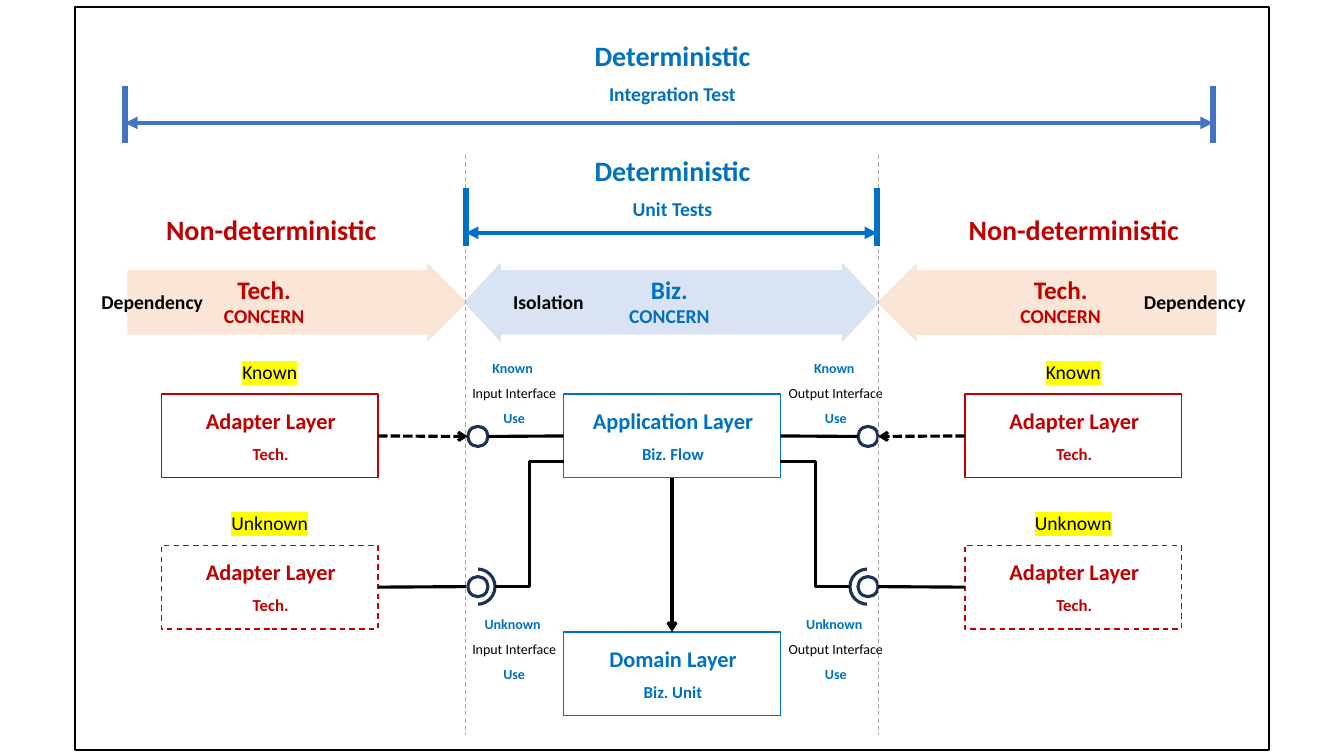
from lxml import etree
from pptx import Presentation
from pptx.dml.color import RGBColor
from pptx.enum.dml import MSO_LINE
from pptx.enum.shapes import MSO_CONNECTOR, MSO_SHAPE
from pptx.enum.text import MSO_AUTO_SIZE, PP_ALIGN
from pptx.oxml.ns import qn
from pptx.util import Inches, Pt

RECTANGLE, OVAL = MSO_SHAPE.RECTANGLE, MSO_SHAPE.OVAL
RIGHT_ARROW, TWO_WAY_ARROW = MSO_SHAPE.RIGHT_ARROW, MSO_SHAPE.LEFT_RIGHT_ARROW
STRAIGHT, ELBOW = MSO_CONNECTOR.STRAIGHT, MSO_CONNECTOR.ELBOW
DASH, SHORT_DASH = MSO_LINE.DASH, MSO_LINE.SQUARE_DOT
CENTERED, GROW = PP_ALIGN.CENTER, MSO_AUTO_SIZE.SHAPE_TO_FIT_TEXT
TOP, LEFT, BOTTOM, RIGHT = range(4)

BLACK = RGBColor(0x00, 0x00, 0x00)
WHITE = RGBColor(0xFF, 0xFF, 0xFF)
GRAY = RGBColor(0xA6, 0xA6, 0xA6)
BLUE = RGBColor(0x00, 0x70, 0xC0)
STEEL = RGBColor(0x44, 0x72, 0xC4)
NAVY = RGBColor(0x1E, 0x32, 0x56)
RED = RGBColor(0xC0, 0x00, 0x00)
PEACH = RGBColor(0xFB, 0xE5, 0xD6)
PALE_BLUE = RGBColor(0xDA, 0xE3, 0xF3)
YELLOW = RGBColor(0xFF, 0xFF, 0x00)

FONT = "Calibri"
CENTER = 6.67
LAYER_WIDTH, LAYER_HEIGHT = 2.15, 0.83
ADAPTER_LEFTS = (1.6, 9.57)
PORT_SIZE, RING_SIZE = 0.2, 0.35
PORT_LEFTS = (4.64, 8.51)
KNOWN_Y, UNKNOWN_Y = 4.33, 5.82
BOUNDARIES = (4.62, 8.71)


def add_frame(slide, center, top, width, height):
    box = slide.shapes.add_textbox(
        Inches(center - width / 2), Inches(top), Inches(width), Inches(height))
    frame = box.text_frame
    frame.word_wrap = False
    frame.auto_size = GROW
    return frame


def write(frame, text, size=14, color=BLACK, bold=True, highlight=None, spacing=None):
    para = frame.paragraphs[0]
    if para.runs:
        para = frame.add_paragraph()
    para.alignment = CENTERED
    if spacing:
        para.line_spacing = spacing
    span = para.add_run()
    span.text = text
    font = span.font
    font.size, font.bold, font.name = Pt(size), bold, FONT
    font.color.rgb = color
    if highlight:
        mark = etree.Element(qn("a:highlight"))
        etree.SubElement(mark, qn("a:srgbClr"), val=str(highlight))
        para.runs[0].font.fill._xPr.find(qn("a:solidFill")).addnext(mark)


def add_shape(slide, kind, left, top, width, height, line, line_width=1, fill=None, dash=None):
    shape = slide.shapes.add_shape(
        kind, Inches(left), Inches(top), Inches(width), Inches(height))
    shape.shadow.inherit = False
    if fill is None:
        shape.fill.background()
    else:
        shape.fill.solid()
        shape.fill.fore_color.rgb = fill
    shape.line.color.rgb = line
    shape.line.width = Pt(line_width)
    if dash:
        shape.line.dash_style = dash
    return shape


def add_line(slide, start, end, color=BLACK, width=2.25, dash=None,
             head=None, tail=None, kind=STRAIGHT):
    line = slide.shapes.add_connector(kind, *[Inches(value) for value in (*start, *end)])
    line.line.color.rgb = color
    line.line.width = Pt(width)
    if dash:
        line.line.dash_style = dash
    properties = line._element.spPr
    outline = properties.find(qn("a:ln"))
    for tag, arrow in (("a:headEnd", head), ("a:tailEnd", tail)):
        if arrow:
            etree.SubElement(outline, qn(tag), type=arrow)
    etree.SubElement(properties, qn("a:effectLst"))
    return line


def add_test_span(slide, left, right, bar_top, arrow_y, title_top, subtitle, color):
    for x in (left, right):
        add_line(slide, (x, bar_top), (x, bar_top + 0.57), color, 4.5)
    add_line(slide, (left, arrow_y), (right, arrow_y), color, 3,
             head="triangle", tail="triangle")
    write(add_frame(slide, CENTER, title_top, 1.76, 0.44), "Deterministic", 20, BLUE)
    write(add_frame(slide, CENTER, title_top + 0.43, 1.47, 0.34), subtitle, 14, BLUE)


def add_concern(slide, kind, left, width, adjustments, fill, name, name_center,
                color, side_label, side_center, rotation=0):
    top = 2.62
    arrow = add_shape(slide, kind, left, top, width, 0.76, fill, fill=fill)
    arrow.rotation = rotation
    for index, value in enumerate(adjustments):
        arrow.adjustments[index] = value
    write(add_frame(slide, side_center, top + 0.21, 1.22, 0.34), side_label)
    frame = add_frame(slide, name_center, top + 0.05, 1.01, 0.64)
    write(frame, name, 18, color)
    write(frame, "CONCERN", 14, color)


def add_layer(slide, left, top, title, subtitle, color, fill=None, dash=None):
    box = add_shape(slide, RECTANGLE, left, top, LAYER_WIDTH, LAYER_HEIGHT, color,
                    fill=fill, dash=dash)
    center = left + LAYER_WIDTH / 2 + 0.01
    write(add_frame(slide, center, top + 0.08, 1.81, 0.37), title, 16, color)
    write(add_frame(slide, center, top + 0.44, 0.83, 0.3), subtitle, 12, color)
    return box


def add_adapter(slide, left, top, status, dash=None):
    box = add_layer(slide, left, top, "Adapter Layer", "Tech.", RED, dash=dash)
    frame = add_frame(slide, left + LAYER_WIDTH / 2, top - 0.39, 0.97, 0.34)
    write(frame, status, bold=False, highlight=YELLOW)
    return box


def add_port(slide, left, y):
    add_shape(slide, OVAL, left, y - PORT_SIZE / 2, PORT_SIZE, PORT_SIZE, NAVY, 2.25)


def add_socket(slide, ring_left, mask_left, y):
    add_shape(slide, OVAL, ring_left, y - RING_SIZE / 2, RING_SIZE, RING_SIZE, NAVY, 2.25)
    add_shape(slide, RECTANGLE, mask_left, y - 0.31, 0.4, 0.63, WHITE, fill=WHITE)


def add_interface_note(slide, center, top, status, direction):
    frame = add_frame(slide, center, top, 1.16, 0.86)
    write(frame, status + " ", 10, BLUE, spacing=1.5)
    write(frame, f"{direction} Interface", 10, bold=False, spacing=1.5)
    write(frame, "Use", 10, BLUE, spacing=1.5)


def add_concerns(slide):
    one_way = (0.827, 0.5)
    add_concern(slide, RIGHT_ARROW, 8.71, 3.35, one_way, PEACH, "Tech.", 10.52, RED,
                "Dependency", 11.85, rotation=180)
    add_concern(slide, RIGHT_ARROW, 1.27, 3.35, one_way, PEACH, "Tech.", 2.62, RED,
                "Dependency", 1.51)
    add_concern(slide, TWO_WAY_ARROW, 4.61, 4.1, (0.824, 0.463), PALE_BLUE, "Biz.", 6.64,
                BLUE, "Isolation", 5.44)
    for center in (2.69, 10.65):
        write(add_frame(slide, center, 2.06, 2.31, 0.44), "Non-deterministic", 20, RED)


def add_architecture(slide):
    core_left = 5.59
    core_right = core_left + LAYER_WIDTH
    application = add_layer(slide, core_left, 3.91, "Application Layer", "Biz. Flow", BLUE, WHITE)
    domain = add_layer(slide, core_left, 6.27, "Domain Layer", "Biz. Unit", BLUE, WHITE)
    flow = add_line(slide, (CENTER, 4.74), (CENTER, 6.27), tail="arrow")
    flow.begin_connect(application, BOTTOM)
    flow.end_connect(domain, TOP)

    sockets = ((4.56, 4.33), (8.43, 8.61))
    elbows = ((core_left, 4.91), (core_right, 8.43))
    known_ends = (PORT_LEFTS[0], PORT_LEFTS[1] + PORT_SIZE)
    core_ends = (PORT_LEFTS[0] + PORT_SIZE, PORT_LEFTS[1])
    notes = ((5.1, "Input"), (8.29, "Output"))
    for side in range(2):
        left, port_left = ADAPTER_LEFTS[side], PORT_LEFTS[side]
        inner_site, core_site = ((RIGHT, LEFT), (LEFT, RIGHT))[side]
        inner_x = (left + LAYER_WIDTH, left)[side]
        known = add_adapter(slide, left, 3.91, "Known")
        unknown = add_adapter(slide, left, 5.41, "Unknown", DASH)
        add_socket(slide, *sockets[side], UNKNOWN_Y)
        for y in (KNOWN_Y, UNKNOWN_Y):
            add_port(slide, port_left, y)

        use = add_line(slide, (inner_x, KNOWN_Y), (known_ends[side], KNOWN_Y),
                       dash=SHORT_DASH, tail="arrow")
        use.begin_connect(known, inner_site)
        supply = add_line(slide, (inner_x, UNKNOWN_Y), (BOUNDARIES[side], UNKNOWN_Y))
        supply.begin_connect(unknown, inner_site)
        core_x, socket_x = elbows[side]
        offer = add_line(slide, (core_x, KNOWN_Y), (core_ends[side], KNOWN_Y))
        offer.begin_connect(application, core_site)
        add_line(slide, (core_x, 4.58), (socket_x, UNKNOWN_Y), kind=ELBOW)

        center, direction = notes[side]
        for top, status in ((3.43, "Known"), (5.97, "Unknown")):
            add_interface_note(slide, center, top, status, direction)


def main():
    deck = Presentation()
    deck.slide_width, deck.slide_height = Inches(13.33), Inches(7.5)
    slide = deck.slides.add_slide(deck.slide_layouts.get_by_name("Blank"))
    add_shape(slide, RECTANGLE, 0.74, 0.07, 11.85, 7.37, BLACK, 1.5)
    add_concerns(slide)
    add_architecture(slide)
    for x in BOUNDARIES:
        add_line(slide, (x, 1.54), (x, 7.29), GRAY, 0.75, DASH)
    add_test_span(slide, 4.62, 8.7, 1.87, 2.31, 1.47, "Unit Tests", BLUE)
    add_test_span(slide, 1.24, 12.03, 0.85, 1.22, 0.33, "Integration Test", STEEL)
    deck.save("out.pptx")


if __name__ == "__main__":
    main()
